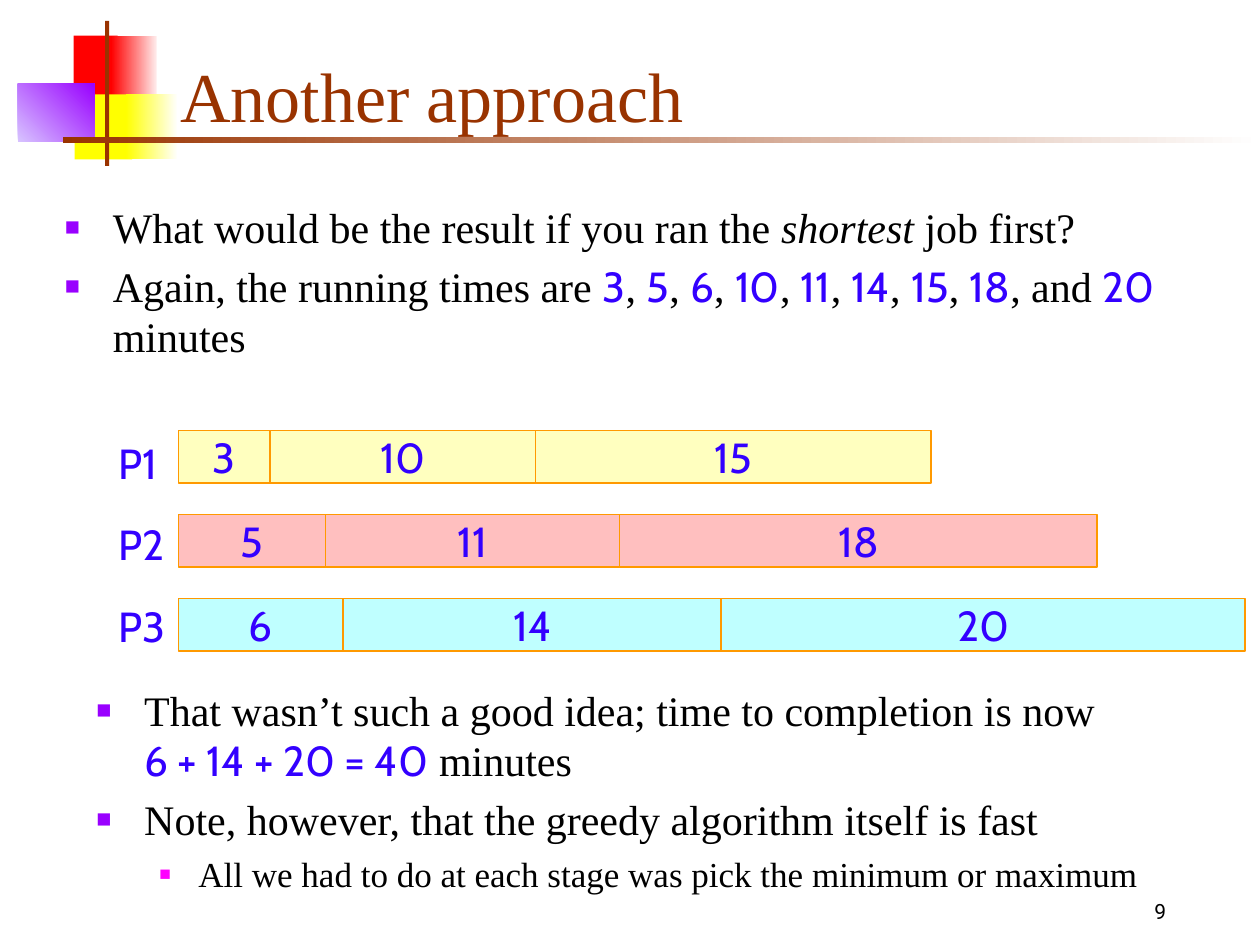
from lxml import etree
from pptx import Presentation
from pptx.dml.color import RGBColor
from pptx.enum.shapes import MSO_SHAPE
from pptx.enum.text import MSO_ANCHOR, PP_ALIGN
from pptx.oxml.ns import qn
from pptx.util import Inches, Pt

RECTANGLE = MSO_SHAPE.RECTANGLE
TOP, MIDDLE = MSO_ANCHOR.TOP, MSO_ANCHOR.MIDDLE
LEFT, CENTER = PP_ALIGN.LEFT, PP_ALIGN.CENTER

WIDTH, HEIGHT = Inches(10), Inches(7.5)
COLUMN, ROW = WIDTH / 120, HEIGHT / 90

COLORS = {
    "red": "FF0000", "pale_red": "FFEAEA",
    "yellow": "FFFF00", "pale_yellow": "FFFFF8",
    "purple": "9900FF", "pale_purple": "D8C4FF",
    "brown": "993300", "white": "FFFFFF", "black": "000000",
    "blue": "3300FF", "magenta": "FF00FF", "orange": "FF9900",
    "cream": "FFFFBF", "pink": "FFBFBF", "aqua": "BFFFFF",
}

SERIF = {"name": "Times New Roman", "size": 24, "color": "black"}
NUMBER = {"name": "Cabin", "size": 24, "color": "blue"}
TITLE = SERIF | {"size": 40, "color": "brown"}
ITALIC = SERIF | {"italic": True}
SMALL = SERIF | {"size": 20}
PAGE = {"name": "Roboto", "size": 12, "color": "black"}

BULLETS = (
    {"indent": 0.38, "hanging": 0.38, "color": "purple", "percent": 60},
    {"indent": 0.81, "hanging": 0.31, "color": "magenta", "percent": 55},
)

DECORATION = (
    ((7, 3.4, 4.2, 6.2), ("red",), 0),
    ((10.6, 3.4, 4.3, 6.2), ("red", "pale_red"), 0),
    ((7.1, 9, 5.5, 6.2), ("yellow",), 0),
    ((12, 9, 4.8, 6.2), ("yellow", "pale_yellow"), 0),
    ((1.7, 8, 7.3, 5.5), ("pale_purple", "purple"), 45),
    ((10, 2, 0.4, 13.8), ("brown",), 0),
    ((6, 13, 114, 0.6), ("brown", "white"), 0),
)

SCHEDULE = (
    ("P1", "cream", (17, 25.7, 51, 88.7), (3, 10, 15)),
    ("P2", "pink", (17, 31, 59, 104.5), (5, 11, 18)),
    ("P3", "aqua", (17, 32.7, 68.7, 118.6), (6, 14, 20)),
)
FIRST_BAR_ROW, BAR_PITCH, BAR_ROWS = 41, 8, 5


def color(name):
    return RGBColor.from_string(COLORS[name])


def place(box):
    left, top, width, height = box
    return [round(length) for length in
            (left * COLUMN, top * ROW, width * COLUMN, height * ROW)]


def add_run(paragraph, text, style):
    run = paragraph.add_run()
    run.text = text
    for attribute, value in style.items():
        if attribute == "color":
            run.font.color.rgb = color(value)
        else:
            setattr(run.font, attribute, Pt(value) if attribute == "size" else value)


def add_bullet(paragraph, level):
    bullet = BULLETS[level]
    paragraph.level = level
    properties = paragraph._p.get_or_add_pPr()
    properties.set("marL", str(Inches(bullet["indent"])))
    properties.set("indent", str(-Inches(bullet["hanging"])))
    bullet_color = etree.SubElement(properties, qn("a:buClr"))
    etree.SubElement(bullet_color, qn("a:srgbClr"), val=COLORS[bullet["color"]])
    etree.SubElement(properties, qn("a:buSzPct"), val=str(bullet["percent"] * 1000))
    etree.SubElement(properties, qn("a:buFont"), typeface="Arial")
    etree.SubElement(properties, qn("a:buChar"), char="■")


def add_text(slide, box, paragraphs, levels=None, anchor=TOP, margin_top=0.05, **formats):
    frame = slide.shapes.add_textbox(*place(box)).text_frame
    frame.word_wrap = True
    frame.vertical_anchor = anchor
    frame.margin_top = Inches(margin_top)
    space_before = formats.pop("space_before", None)
    for index, runs in enumerate(paragraphs):
        paragraph = frame.add_paragraph() if index else frame.paragraphs[0]
        if levels:
            add_bullet(paragraph, levels[index])
        for attribute, value in formats.items():
            setattr(paragraph, attribute, value)
        paragraph.space_before = space_before if index else Pt(0)
        for text, style in runs:
            if text == "\n":
                paragraph.add_line_break()
            else:
                add_run(paragraph, text, style)


def add_block(slide, box, fill_names, angle=0):
    shape = slide.shapes.add_shape(RECTANGLE, *place(box))
    shape.shadow.inherit = False
    shape.line.fill.background()
    if len(fill_names) == 1:
        shape.fill.solid()
        shape.fill.fore_color.rgb = color(fill_names[0])
    else:
        shape.fill.gradient()
        shape.fill.gradient_angle = angle
        for stop, name in zip(shape.fill.gradient_stops, fill_names):
            stop.color.rgb = color(name)
    return shape


def add_job(slide, box, fill_name, minutes):
    shape = add_block(slide, box, (fill_name,))
    shape.line.color.rgb = color("orange")
    shape.line.width = Pt(1)
    frame = shape.text_frame
    frame.word_wrap = False
    frame.vertical_anchor = MIDDLE
    paragraph = frame.paragraphs[0]
    paragraph.alignment = CENTER
    add_run(paragraph, str(minutes), NUMBER)


def add_schedule(slide):
    for index, (_, fill_name, edges, jobs) in enumerate(SCHEDULE):
        top = FIRST_BAR_ROW + index * BAR_PITCH
        for start, end, minutes in zip(edges, edges[1:], jobs):
            add_job(slide, (start, top, end - start, BAR_ROWS), fill_name, minutes)
    labels = [[(processor, NUMBER)] for processor, *_ in SCHEDULE]
    add_text(slide, (10.1, 40.1, 7.9, 23.2), labels, alignment=LEFT,
             line_spacing=1.2, space_before=Pt(12))


def running_times():
    times = sorted(minutes for *_, jobs in SCHEDULE for minutes in jobs)
    runs = [("Again, the running times are ", SERIF)]
    for minutes in times[:-1]:
        separator = ", and " if minutes == times[-2] else ", "
        runs += [(str(minutes), NUMBER), (separator, SERIF)]
    return runs + [(str(times[-1]), NUMBER), (" minutes", SERIF)]


def main():
    presentation = Presentation()
    presentation.slide_width, presentation.slide_height = WIDTH, HEIGHT
    slide = presentation.slides.add_slide(presentation.slide_layouts[6])

    for box, fill_names, angle in DECORATION:
        add_block(slide, box, fill_names, angle)
    add_text(slide, (104, 85, 13, 3.6), [[("9", PAGE)]], alignment=CENTER)
    add_text(slide, (16, 4, 102.2, 10), [[("Another approach", TITLE)]], anchor=MIDDLE)

    question = [("What would be the result if you ran the ", SERIF),
                ("shortest", ITALIC), (" job first?", SERIF)]
    add_text(slide, (5, 18, 112.5, 18.8), [question, running_times()], (0, 0),
             margin_top=0.1, space_before=Pt(4.8))

    conclusion = [
        [("That wasn’t such a good idea; time to completion is now", SERIF),
         ("\n", SERIF), ("6 + 14 + 20 = 40", NUMBER), (" minutes", SERIF)],
        [("Note, however, that the greedy algorithm itself is fast", SERIF)],
        [("All we had to do at each stage was pick the minimum or maximum", SMALL)],
    ]
    add_text(slide, (8, 64, 103, 24), conclusion, (0, 0, 1),
             margin_top=0.1, space_before=Pt(4.8))

    add_schedule(slide)
    presentation.save("out.pptx")


if __name__ == "__main__":
    main()
